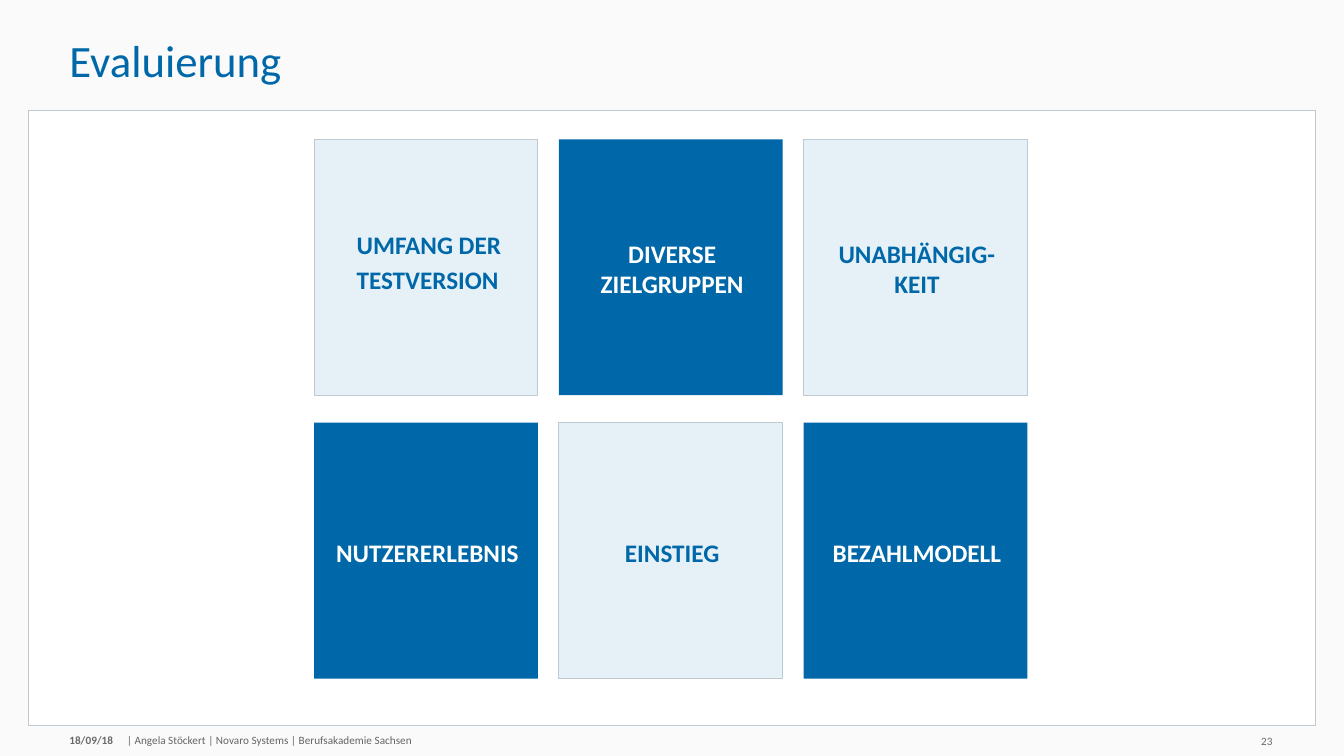
from dataclasses import dataclass

from pptx import Presentation
from pptx.dml.color import RGBColor
from pptx.enum import shapes, text
from pptx.util import Cm, Pt


@dataclass(frozen=True)
class Theme:
    font: str = "Calibri"
    backdrop: str = "FAFAFA"
    panel: str = "FFFFFF"
    edge: str = "BFC9D2"
    blue: str = "0068A9"
    pale: str = "E5F1F7"
    grey: str = "686868"
    byline_grey: str = "646464"
    title_size: int = 32
    tile_size: int = 18
    footer_size: int = 8


THEME = Theme()
MIDDLE, TOP = text.MSO_ANCHOR.MIDDLE, text.MSO_ANCHOR.TOP
LEFT, CENTER, RIGHT = text.PP_ALIGN.LEFT, text.PP_ALIGN.CENTER, text.PP_ALIGN.RIGHT

TITLE = "Evaluierung"
CRITERIA = [
    [["UMFANG DER", "TESTVERSION"], ["DIVERSE ZIELGRUPPEN"], ["UNABHÄNGIG-", "KEIT"]],
    [["NUTZERERLEBNIS"], ["EINSTIEG"], ["BEZAHLMODELL"]],
]
# text, left, top, width, alignment, colour, bold
FOOTER = [
    ("18/09/18", 1.75, 18.49, 1.42, LEFT, THEME.grey, True),
    ("| Angela Stöckert | Novaro Systems | Berufsakademie Sachsen",
     3.2, 18.49, 11.86, LEFT, THEME.byline_grey, False),
    ("23", 31.29, 18.52, 0.79, RIGHT, THEME.grey, False),
]

PANEL = (0.71, 2.79, 32.46, 15.49)
GRID_LEFT, GRID_TOP = 7.92, 3.51
TILE_WIDTH, TILE_HEIGHT = 5.64, 6.45
GAP_X, GAP_Y = 0.53, 0.69
TILE_INSETS = (0.43, 0.43, 0.36, 0.36)
LIST_INSETS = (1.07, 2.26, 0.36, 0.36)


def rgb(value):
    return RGBColor.from_string(value)


def add_box(slide, box, fill, edge=None):
    shape = slide.shapes.add_shape(shapes.MSO_SHAPE.RECTANGLE, *map(Cm, box))
    shape.shadow.inherit = False
    shape.fill.solid()
    shape.fill.fore_color.rgb = rgb(fill)
    if edge:
        shape.line.color.rgb = rgb(edge)
        shape.line.width = Pt(0.75)
    else:
        shape.line.fill.background()
    return shape


def write(shape, lines, size, color, bold=False, align=LEFT, anchor=MIDDLE,
          insets=(0, 0, 0, 0), gap=0, spacing=None):
    """Set one paragraph per line; gap is the space before all but the first."""
    frame = shape.text_frame
    frame.word_wrap = True
    frame.vertical_anchor = anchor
    (frame.margin_left, frame.margin_top,
     frame.margin_right, frame.margin_bottom) = map(Cm, insets)
    for index, line in enumerate(lines):
        paragraph = frame.add_paragraph() if index else frame.paragraphs[0]
        paragraph.alignment = align
        if index and gap:
            paragraph.space_before = Pt(gap)
        if spacing:
            paragraph.line_spacing = spacing
        run = paragraph.add_run()
        run.text = line
        run.font.name = THEME.font
        run.font.size = Pt(size)
        run.font.bold = bold
        run.font.color.rgb = rgb(color)


def add_label(slide, box, line, size, color, **style):
    write(slide.shapes.add_textbox(*map(Cm, box)), [line], size, color, **style)


def add_criteria(slide):
    for row, criteria in enumerate(CRITERIA):
        for column, lines in enumerate(criteria):
            box = (GRID_LEFT + column * (TILE_WIDTH + GAP_X),
                   GRID_TOP + row * (TILE_HEIGHT + GAP_Y), TILE_WIDTH, TILE_HEIGHT)
            if (row + column) % 2:
                tile, color = add_box(slide, box, THEME.blue), THEME.panel
            else:
                tile, color = add_box(slide, box, THEME.pale, THEME.edge), THEME.blue
            if row == column == 0:
                layout = dict(anchor=TOP, insets=LIST_INSETS, gap=3.6)
            else:
                layout = dict(align=CENTER, insets=TILE_INSETS)
            write(tile, lines, THEME.tile_size, color, bold=True, **layout)


def main():
    deck = Presentation()
    deck.slide_width, deck.slide_height = Cm(33.88), Cm(19.05)
    slide = deck.slides.add_slide(deck.slide_layouts[6])
    slide.background.fill.solid()
    slide.background.fill.fore_color.rgb = rgb(THEME.backdrop)

    add_box(slide, PANEL, THEME.panel, THEME.edge)
    add_label(slide, (1.75, 0.97, 27.18, 1.22), TITLE, THEME.title_size, THEME.blue,
              spacing=0.9)
    add_criteria(slide)
    for line, left, top, width, align, color, bold in FOOTER:
        add_label(slide, (left, top, width, 0.33), line, THEME.footer_size, color,
                  bold=bold, align=align)
    deck.save("out.pptx")


if __name__ == "__main__":
    main()
